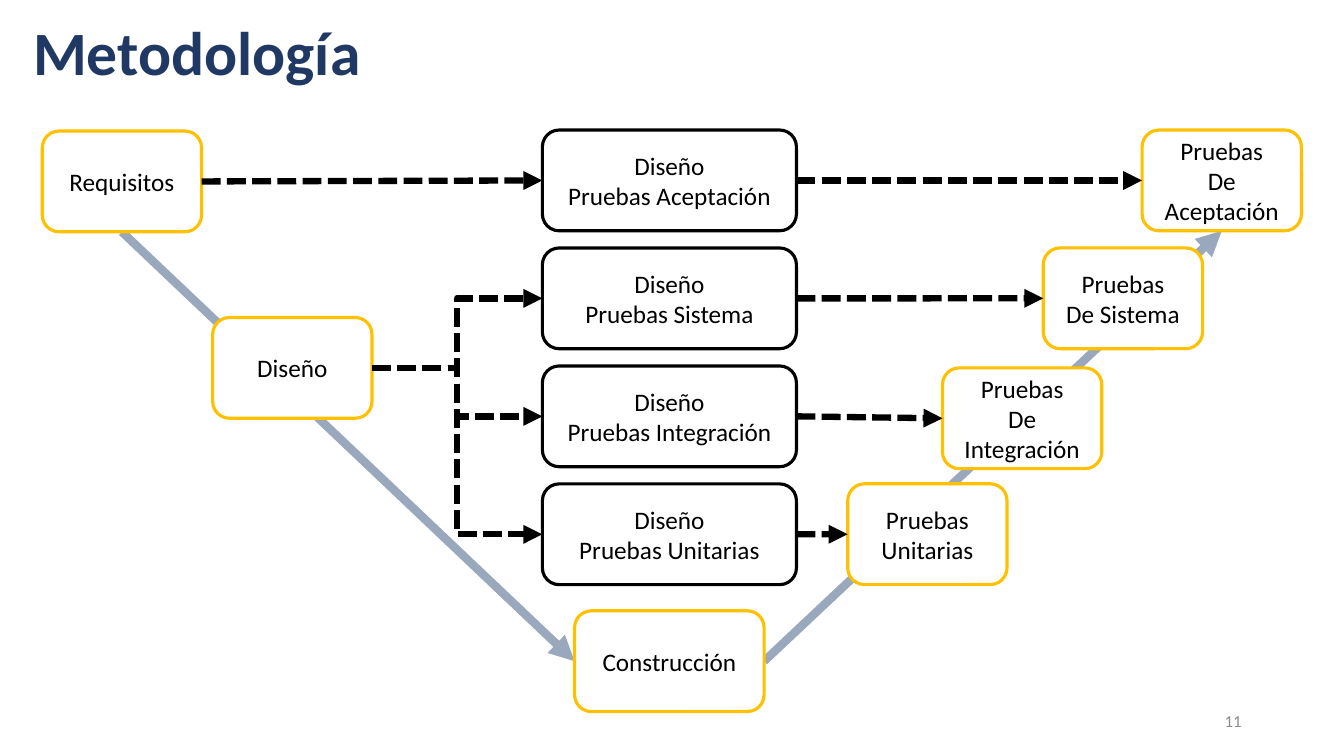
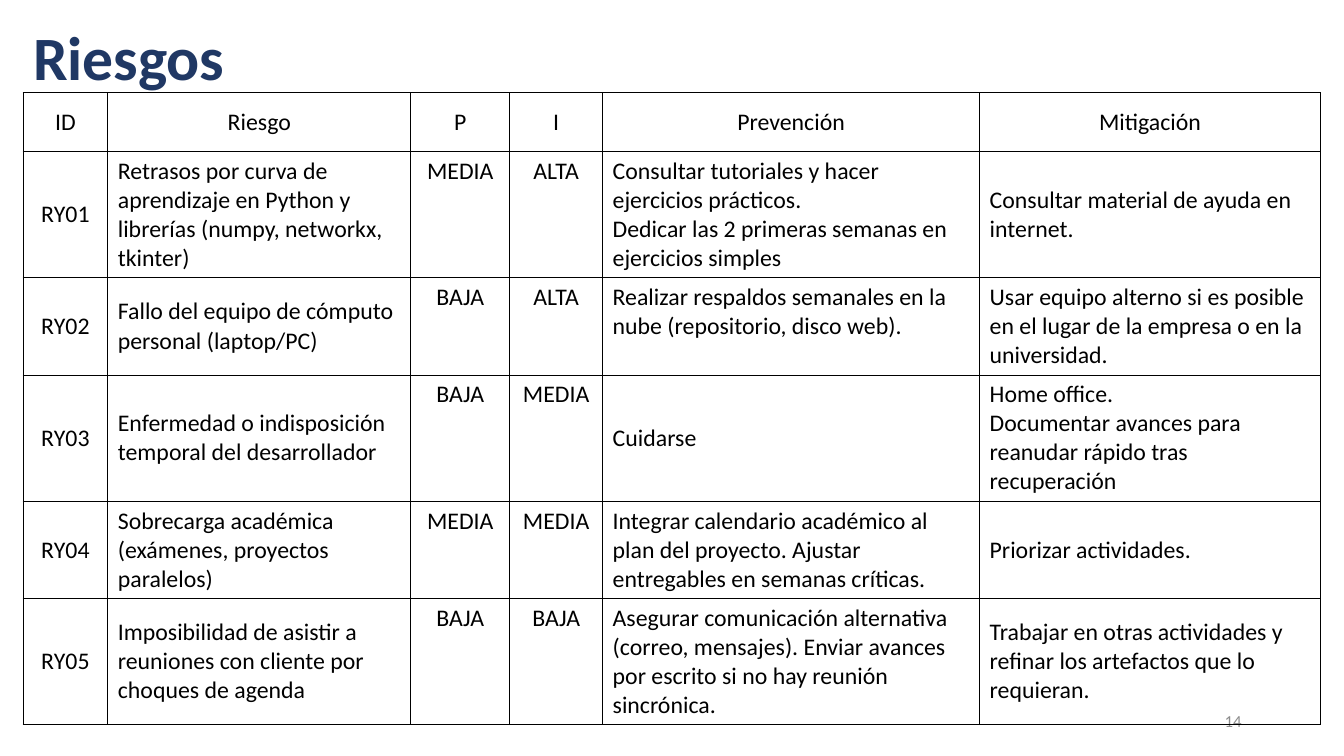
from dataclasses import dataclass

import pptx
import pptx.dml.color
import pptx.enum.dml
import pptx.enum.shapes
import pptx.enum.text
import pptx.oxml
import pptx.oxml.ns
import pptx.util

Pt = pptx.util.Pt
Align = pptx.enum.text.PP_ALIGN
Anchor = pptx.enum.text.MSO_ANCHOR
Connector = pptx.enum.shapes.MSO_CONNECTOR
TOP, LEFT, BOTTOM, RIGHT = range(4)


@dataclass(frozen=True)
class Theme:
    font: str = "Calibri"
    title_color: str = "203864"
    ink: str = "000000"
    paper: str = "FFFFFF"
    accent: str = "FFC000"
    path_color: str = "99A8BD"
    number_color: str = "8C8C8C"
    title_size: float = 44
    box_size: float = 18
    table_size: float = 17
    number_size: float = 12
    box_line: float = 2.25
    dash_line: float = 4.5
    path_line: float = 6
    border_line: float = 0.75


THEME = Theme()

BOX_HEIGHT = 72
ROW_TOP, ROW_PITCH = 92.9, 84.25
DESIGN_LEFT, DESIGN_WIDTH = 387.4, 181.5
PHASE_WIDTH = 113.8

# Each test level: design text, test text, left and top of the test box
TEST_LEVELS = [
    ("Diseño\nPruebas Aceptación", "Pruebas\nDe Aceptación", 815.8, 92.9),
    ("Diseño\nPruebas Sistema", "Pruebas\nDe Sistema", 745.2, 177.1),
    ("Diseño\nPruebas Integración", "Pruebas\nDe Integración", 673.2, 262.8),
    ("Diseño\nPruebas Unitarias", "Pruebas\nUnitarias", 605.5, 345.6),
]

COLUMN_WIDTHS = [60.5, 216.5, 70.7, 66.3, 269.3, 243.5]
ROW_HEIGHTS = [41.8, 90.2, 69.5, 90.2, 69.5, 90.2]
CENTERED_COLUMNS = {0, 2, 3}
TOP_COLUMNS = {2, 3}
TOP_CELLS = {(2, 4), (5, 4)}
RISKS = [
    ("ID", "Riesgo", "P", "I", "Prevención", "Mitigación"),
    ("RY01",
     "Retrasos por curva de aprendizaje en Python y librerías (numpy, networkx, tkinter)",
     "MEDIA", "ALTA",
     "Consultar tutoriales y hacer ejercicios prácticos.\n"
     "Dedicar las 2 primeras semanas en ejercicios simples",
     "Consultar material de ayuda en internet."),
    ("RY02",
     "Fallo del equipo de cómputo personal (laptop/PC)",
     "BAJA", "ALTA",
     "Realizar respaldos semanales en la nube (repositorio, disco web).",
     "Usar equipo alterno si es posible en el lugar de la empresa o en la universidad."),
    ("RY03",
     "Enfermedad o indisposición temporal del desarrollador",
     "BAJA", "MEDIA",
     "Cuidarse",
     "Home office.\nDocumentar avances para reanudar rápido tras recuperación"),
    ("RY04",
     "Sobrecarga académica (exámenes, proyectos paralelos)",
     "MEDIA", "MEDIA",
     "Integrar calendario académico al plan del proyecto. "
     "Ajustar entregables en semanas críticas.",
     "Priorizar actividades."),
    ("RY05",
     "Imposibilidad de asistir a reuniones con cliente por choques de agenda",
     "BAJA", "BAJA",
     "Asegurar comunicación alternativa (correo, mensajes). "
     "Enviar avances por escrito si no hay reunión sincrónica.",
     "Trabajar en otras actividades y refinar los artefactos que lo requieran."),
]


def rgb(color):
    return pptx.dml.color.RGBColor.from_string(color)


def write_text(frame, text, size, color=THEME.ink, bold=False,
               align=Align.LEFT, line_spacing=None):
    """Write one paragraph for each line of text."""
    frame.word_wrap = True
    for index, line in enumerate(text.split("\n")):
        para = frame.add_paragraph() if index else frame.paragraphs[0]
        para.alignment = align
        para.line_spacing = line_spacing
        span = para.add_run()
        span.text = line
        span.font.name = THEME.font
        span.font.size = Pt(size)
        span.font.bold = bold
        span.font.color.rgb = rgb(color)


def add_label(slide, text, left, top, width, height, **text_format):
    label = slide.shapes.add_textbox(Pt(left), Pt(top), Pt(width), Pt(height))
    label.text_frame.vertical_anchor = Anchor.MIDDLE
    write_text(label.text_frame, text, **text_format)


def add_slide(deck, title, number, title_top=0):
    slide = deck.slides.add_slide(deck.slide_layouts[6])
    add_label(slide, title, 16.6, title_top, 828, 80, size=THEME.title_size,
              color=THEME.title_color, bold=True, line_spacing=0.9)
    add_label(slide, number, 678, 500.5, 216, 28.8, size=THEME.number_size,
              color=THEME.number_color, align=Align.RIGHT)
    return slide


def add_box(slide, text, left, top, width=PHASE_WIDTH, outline=THEME.accent):
    box = slide.shapes.add_shape(
        pptx.enum.shapes.MSO_SHAPE.ROUNDED_RECTANGLE,
        Pt(left), Pt(top), Pt(width), Pt(BOX_HEIGHT))
    box.shadow.inherit = False
    box.fill.solid()
    box.fill.fore_color.rgb = rgb(THEME.paper)
    box.line.color.rgb = rgb(outline)
    box.line.width = Pt(THEME.box_line)
    box.text_frame.vertical_anchor = Anchor.MIDDLE
    write_text(box.text_frame, text, size=THEME.box_size, align=Align.CENTER)
    return box


def add_arrow(slide, start, start_side, end, end_side, color, width,
              kind=Connector.STRAIGHT):
    arrow = slide.shapes.add_connector(kind, 0, 0, 0, 0)
    arrow.begin_connect(start, start_side)
    arrow.end_connect(end, end_side)
    arrow.line.color.rgb = rgb(color)
    arrow.line.width = Pt(width)
    properties = arrow.element.spPr
    outline = properties.find(pptx.oxml.ns.qn("a:ln"))
    head = pptx.oxml.parse_xml(
        f'<a:tailEnd {pptx.oxml.ns.nsdecls("a")} type="triangle"/>')
    outline.append(head)
    properties.append(pptx.oxml.parse_xml(
        f'<a:effectLst {pptx.oxml.ns.nsdecls("a")}/>'))
    return arrow


def add_dashed_arrow(slide, start, end, kind=Connector.STRAIGHT):
    arrow = add_arrow(slide, start, RIGHT, end, LEFT,
                      THEME.ink, THEME.dash_line, kind)
    arrow.line.dash_style = pptx.enum.dml.MSO_LINE.SQUARE_DOT


def add_path_arrow(slide, start, start_side, end, end_side):
    """Draw an arm of the V behind all the boxes."""
    arrow = add_arrow(slide, start, start_side, end, end_side,
                      THEME.path_color, THEME.path_line)
    slide.shapes.element.insert(2, arrow.element)


def set_borders(cell):
    properties = cell._tc.get_or_add_tcPr()
    for side in ("lnL", "lnR", "lnT", "lnB"):
        properties.append(pptx.oxml.parse_xml(
            f'<a:{side} {pptx.oxml.ns.nsdecls("a")} w="{Pt(THEME.border_line)}">'
            f'<a:solidFill><a:srgbClr val="{THEME.ink}"/></a:solidFill></a:{side}>'))


def add_risk_table(slide):
    table = slide.shapes.add_table(
        len(RISKS), len(COLUMN_WIDTHS), Pt(16.5), Pt(66.4),
        Pt(sum(COLUMN_WIDTHS)), Pt(sum(ROW_HEIGHTS))).table
    table.first_row = False
    table.horz_banding = False
    for column, width in zip(table.columns, COLUMN_WIDTHS):
        column.width = Pt(width)
    for row, height in zip(table.rows, ROW_HEIGHTS):
        row.height = Pt(height)
    for row_index, texts in enumerate(RISKS):
        for column_index, text in enumerate(texts):
            header = row_index == 0
            centered = header or column_index in CENTERED_COLUMNS
            at_top = not header and (column_index in TOP_COLUMNS
                                     or (row_index, column_index) in TOP_CELLS)
            cell = table.cell(row_index, column_index)
            set_borders(cell)
            cell.fill.background()
            cell.vertical_anchor = Anchor.TOP if at_top else Anchor.MIDDLE
            write_text(cell.text_frame, text, size=THEME.table_size,
                       align=Align.CENTER if centered else Align.LEFT)


def add_v_model(slide):
    requirements = add_box(slide, "Requisitos", 30.2, 93.6)
    design = add_box(slide, "Diseño", 151.9, 226.8)
    construction = add_box(slide, "Construcción", 410.4, 436.3, width=135.4)
    test_designs, tests = [], []
    for index, (design_text, test_text, left, top) in enumerate(TEST_LEVELS):
        test_designs.append(add_box(
            slide, design_text, DESIGN_LEFT, ROW_TOP + index * ROW_PITCH,
            width=DESIGN_WIDTH, outline=THEME.ink))
        tests.append(add_box(slide, test_text, left, top))

    add_dashed_arrow(slide, requirements, test_designs[0])
    for test_design in test_designs[1:]:
        add_dashed_arrow(slide, design, test_design, Connector.ELBOW)
    for test_design, test in zip(test_designs, tests):
        add_dashed_arrow(slide, test_design, test)
    add_path_arrow(slide, requirements, BOTTOM, construction, LEFT)
    add_path_arrow(slide, construction, RIGHT, tests[0], BOTTOM)


def main():
    deck = pptx.Presentation()
    deck.slide_width, deck.slide_height = Pt(960), Pt(540)
    add_v_model(add_slide(deck, "Metodología", "11"))
    add_risk_table(add_slide(deck, "Riesgos", "14", title_top=3.6))
    deck.save("out.pptx")


if __name__ == "__main__":
    main()
